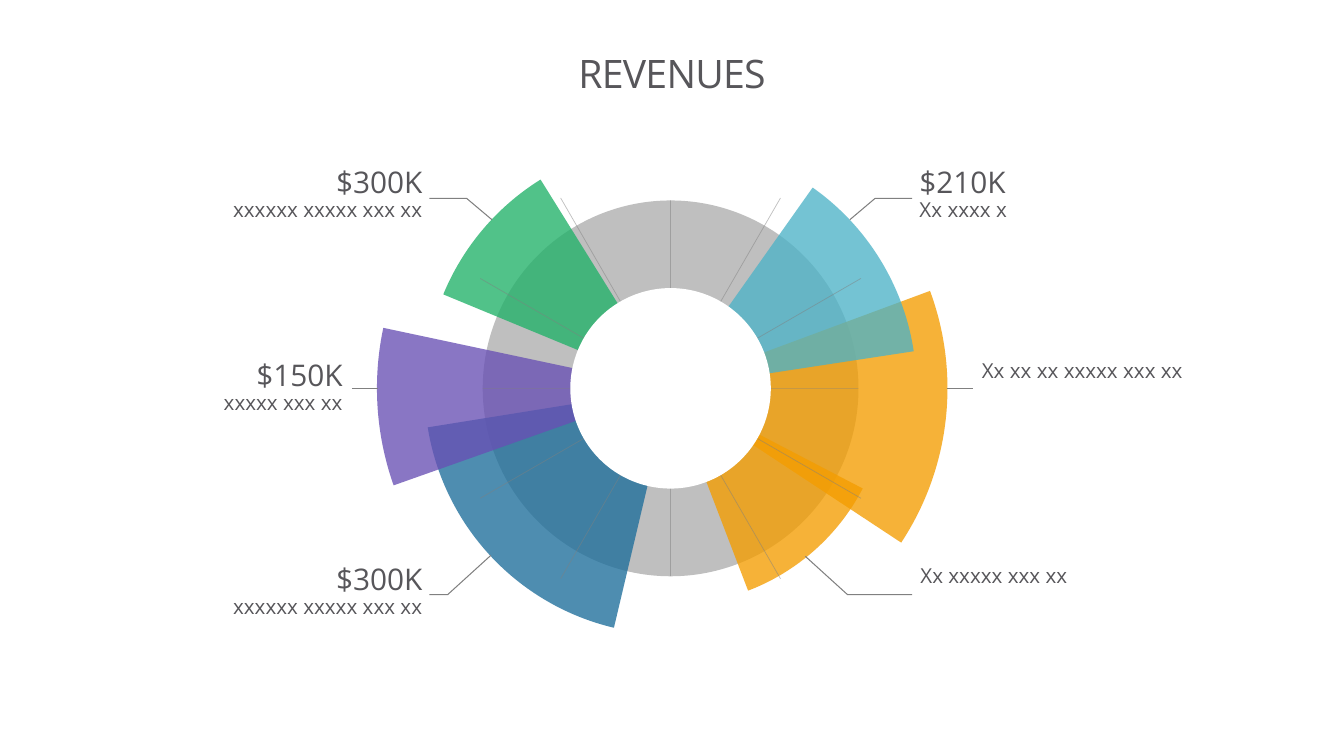
from math import cos, radians, sin

from lxml.etree import SubElement
from pptx import Presentation
from pptx.dml.color import RGBColor
from pptx.enum.shapes import MSO_CONNECTOR as Conn, MSO_SHAPE as Kind
from pptx.enum.text import MSO_ANCHOR as Anchor, MSO_AUTO_SIZE as Fit, PP_ALIGN as Align
from pptx.oxml.ns import qn
from pptx.util import Pt

GREY = RGBColor(0x80, 0x80, 0x80)
INK = RGBColor(0x57, 0x56, 0x5A)
WHITE = RGBColor(0xFF, 0xFF, 0xFF)
GREEN = RGBColor(0x21, 0xB1, 0x69)
BLUE = RGBColor(0x1D, 0x6E, 0x9B)
AMBER = RGBColor(0xF4, 0x9D, 0x00)
TEAL = RGBColor(0x4D, 0xB3, 0xC7)
PLUM = RGBColor(0x68, 0x50, 0xB4)

MID_X, MID_Y = 479, 277.4
RING, HOLE, SPOKE = 134.2, 71.6, 157
WIDE = 171.4

WEDGES = [
    (MID_X, 175.7, 202.46, 238.08, GREEN),
    (MID_X, 175.7, 103.32, 170.88, BLUE),
    (476.6, 200.2, 339.66, 33.4, AMBER),
    (MID_X, 175.7, 305.28, 351.32, TEAL),
    (477, 207.7, 160.5, 192, PLUM),
    (MID_X, 154.8, 27.54, 69.03, AMBER),
]
LABELS = [
    (656.8, 120.2, ["$210K", "Xx xxxx x"], Align.LEFT),
    (657.4, 403.9, ["Xx xxxxx xxx xx"], Align.LEFT),
    (701.3, 257.8, ["Xx xx xx xxxxx xxx xx"], Align.LEFT),
    (130.3, 403.9, ["$300K", "xxxxxx xxxxx xxx xx"], Align.RIGHT),
    (73.4, 257.8, ["$150K", "xxxxx xxx xx"], Align.RIGHT),
    (130.3, 120.2, ["$300K", "xxxxxx xxxxx xxx xx"], Align.RIGHT),
]
BENDS = [
    [(607, 157), (625, 141.8), (651.6, 141.8)],
    [(575.3, 397.4), (605.5, 424.8), (651.6, 424.8)],
    [(351.4, 157), (333.4, 141.8), (306.7, 141.8)],
    [(350.6, 396.7), (319.7, 424.8), (306.7, 424.8)],
]


class Deck:
    """Hold the style and the current slide, and draw each kind of element."""

    font = "Open Sans"

    def __init__(self):
        self.prs = Presentation()
        self.prs.slide_width, self.prs.slide_height = Pt(960), Pt(540)
        self.slide = self.prs.slides.add_slide(self.prs.slide_layouts[5])
        self.shapes = self.slide.shapes

    def fade(self, item, alpha):
        for tint in item.element.spPr.iter(qn("a:srgbClr")):
            SubElement(tint, qn("a:alpha")).set("val", str(alpha * 1000))

    def type_in(self, frame, lines, sizes, align, gap):
        frame.margin_left = frame.margin_right = 0
        frame.margin_top = frame.margin_bottom = 0
        frame.word_wrap = True
        frame.text = "\n".join(lines)
        for para, size in zip(frame.paragraphs, sizes):
            para.alignment, para.line_spacing = align, gap
            for run in para.runs:
                run.font.name, run.font.size = self.font, Pt(size)
                run.font.color.rgb = INK

    def title(self, text):
        box = self.shapes.title
        box.left, box.top, box.width, box.height = Pt(72), Pt(22.3), Pt(816), Pt(64)
        frame = box.text_frame
        self.type_in(frame, [text], [28], Align.CENTER, 0.86)
        frame.vertical_anchor = Anchor.MIDDLE
        frame.auto_size = Fit.NONE
        for props in box.element.iter(qn("a:rPr")):
            props.set("spc", "-50")

    def disc(self, x, y, rad, color, alpha=100, kind=Kind.OVAL):
        item = self.shapes.add_shape(kind, Pt(x - rad), Pt(y - rad), Pt(2 * rad), Pt(2 * rad))
        item.shadow.inherit = False
        item.fill.solid()
        item.fill.fore_color.rgb = color
        item.line.fill.background()
        if alpha < 100:
            self.fade(item, alpha)
        return item

    def wedge(self, x, rad, start, end, color):
        item = self.disc(x, MID_Y, rad, color, 78, Kind.PIE)
        item.adjustments[0], item.adjustments[1] = start * 0.6, end * 0.6

    def line(self, x1, y1, x2, y2, width=0.75, alpha=100, home=None):
        item = (home or self.shapes).add_connector(
            Conn.STRAIGHT, Pt(x1), Pt(y1), Pt(x2), Pt(y2))
        item.line.color.rgb, item.line.width = GREY, Pt(width)
        if alpha < 100:
            self.fade(item, alpha)
        SubElement(item.element.spPr, qn("a:effectLst"))

    def spokes(self):
        home = self.shapes.add_group_shape().shapes
        for turn in range(0, 180, 30):
            rad = SPOKE if turn % 90 else RING
            dx, dy = rad * cos(radians(turn)), rad * sin(radians(turn))
            self.line(MID_X + dx, MID_Y + dy, MID_X - dx, MID_Y - dy, 0.5, 50, home)

    def bend(self, points):
        first, *rest = [(Pt(x), Pt(y)) for x, y in points]
        form = self.shapes.build_freeform(*first)
        form.add_line_segments(rest, close=False)
        item = form.convert_to_shape()
        item.shadow.inherit = False
        item.fill.background()
        item.line.color.rgb, item.line.width = GREY, Pt(0.75)

    def label(self, x, y, lines, align):
        high = 38.9 if len(lines) == 2 else 15.8
        frame = self.shapes.add_textbox(Pt(x), Pt(y), Pt(WIDE), Pt(high)).text_frame
        self.type_in(frame, lines, [21.3, 14.7][-len(lines):], align, 0.89)
        frame.auto_size = Fit.SHAPE_TO_FIT_TEXT


def main():
    deck = Deck()
    deck.title("REVENUES")
    deck.disc(MID_X, MID_Y, RING, GREY, 50)
    for wedge in WEDGES:
        deck.wedge(*wedge)
    deck.spokes()
    deck.disc(MID_X, MID_Y, HOLE, WHITE)
    for label in LABELS:
        deck.label(*label)
    for points in BENDS:
        deck.bend(points)
    for left in (251.3, 676.1):
        deck.line(left, MID_Y, left + 18.7, MID_Y)
    deck.prs.save("out.pptx")


if __name__ == "__main__":
    main()
